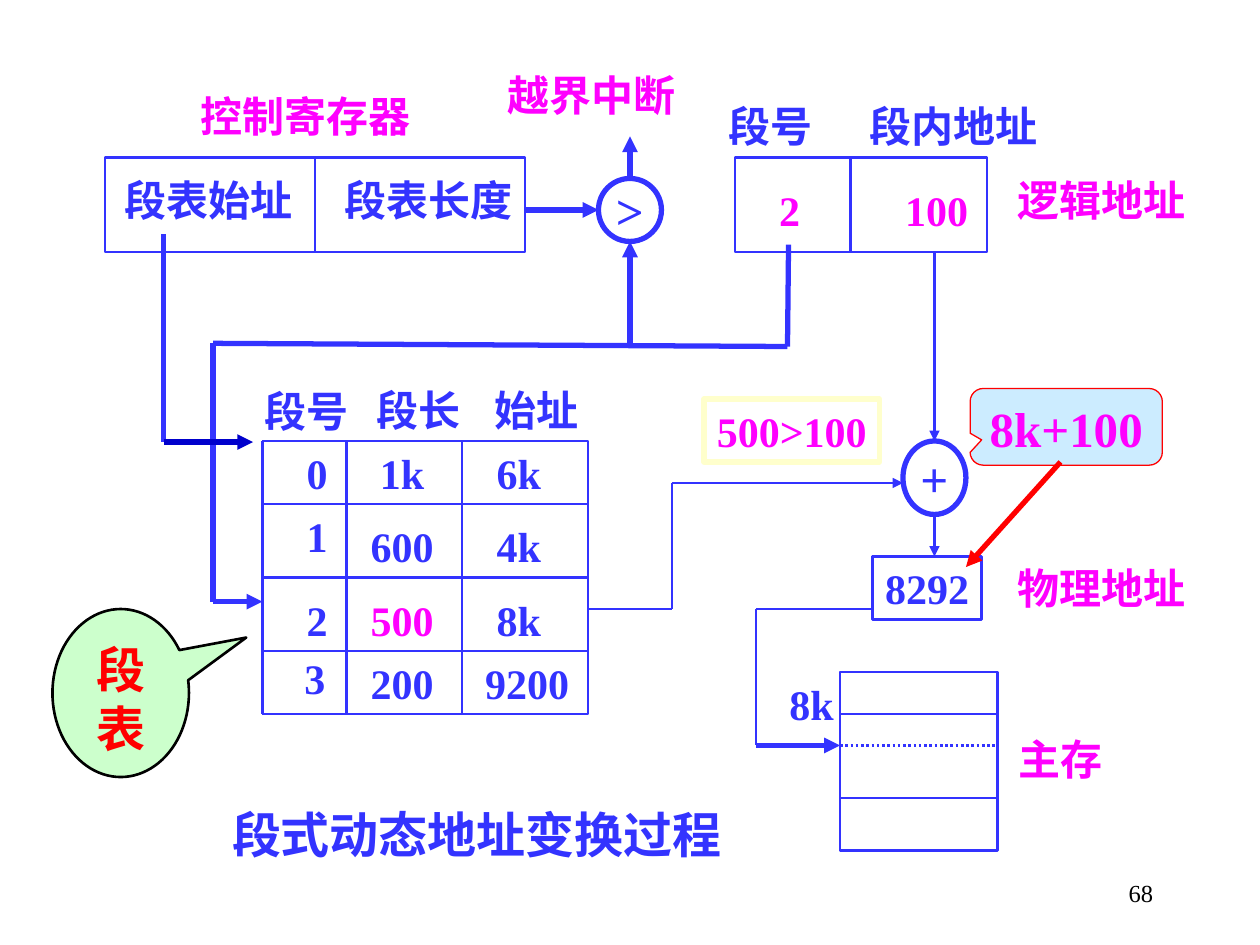
from itertools import pairwise

from lxml import etree
from pptx import Presentation
from pptx import util as u
from pptx.dml.color import RGBColor
from pptx.enum import dml, shapes, text
from pptx.oxml import ns

BLUE = RGBColor(0x33, 0x33, 0xFF)
NAVY = RGBColor(0x00, 0x00, 0xCC)
MAGENTA = RGBColor(0xFF, 0x00, 0xFF)
RED = RGBColor(0xFF, 0x00, 0x00)
BLACK = RGBColor(0x00, 0x00, 0x00)
WHITE = RGBColor(0xFF, 0xFF, 0xFF)
CREAM = RGBColor(0xFF, 0xFF, 0xCC)
SKY = RGBColor(0xCC, 0xEC, 0xFF)
MINT = RGBColor(0xCC, 0xFF, 0xCC)

FONT = "Times New Roman"
THIN, THICK = 1.5, 3
KIND = shapes.MSO_SHAPE
TOP, MIDDLE = text.MSO_ANCHOR.TOP, text.MSO_ANCHOR.MIDDLE


def grid(n):
    return u.Inches(n / 12)


def write(sp, words, color, size=24, bold=True, wrap=True,
          anchor=TOP, align=text.PP_ALIGN.CENTER):
    tf = sp.text_frame
    tf.word_wrap = wrap
    tf.vertical_anchor = anchor
    p = tf.paragraphs[0]
    p.alignment = align
    r = p.add_run()
    r.text = words
    r.font.name = FONT
    r.font.size = u.Pt(size)
    r.font.bold = bold
    r.font.color.rgb = color


def label(s, words, center, top, color=BLUE, size=24):
    width = 2.8 + 2 * len(words) if words.isascii() else 4 + 4 * len(words)
    width *= size / 24
    sp = s.shapes.add_textbox(grid(center - width / 2), grid(top),
                              grid(width), grid(size / 4))
    write(sp, words, color, size, wrap=False)


def box(s, kind, x, y, w, h, fill=WHITE, line=BLUE, weight=THIN):
    sp = s.shapes.add_shape(kind, grid(x), grid(y), grid(w), grid(h))
    sp.shadow.inherit = False
    if fill is None:
        sp.fill.background()
    else:
        sp.fill.solid()
        sp.fill.fore_color.rgb = fill
    sp.line.color.rgb = line
    sp.line.width = u.Pt(weight)
    return sp


def callout(s, kind, x, y, w, h, adjustments, fill, line, weight):
    sp = box(s, kind, x, y, w, h, fill, line, weight)
    for i, value in enumerate(adjustments):
        sp.adjustments[i] = value
    return sp


def route(s, *points, color=BLUE, weight=THIN, arrow=False, dotted=False):
    for start, end in pairwise(points):
        c = s.shapes.add_connector(shapes.MSO_CONNECTOR.STRAIGHT,
                                   *map(grid, start + end))
        c.line.color.rgb = color
        c.line.width = u.Pt(weight)
        if dotted:
            c.line.dash_style = dml.MSO_LINE.ROUND_DOT
        if arrow and end == points[-1]:
            etree.SubElement(c.line._get_or_add_ln(), ns.qn("a:tailEnd"),
                             type="triangle")
        etree.SubElement(c._element.spPr, ns.qn("a:effectLst"))


def registers(s):
    label(s, "控制寄存器", 29.1, 8, MAGENTA)
    box(s, KIND.RECTANGLE, 10, 15, 40, 9)
    label(s, "段表始址", 19.9, 16)
    label(s, "段表长度", 40.8, 16)
    route(s, (30, 15), (30, 24))
    box(s, KIND.RECTANGLE, 70, 15, 24, 9)
    route(s, (81, 15), (81, 24))
    label(s, "2", 75.2, 17, MAGENTA)
    label(s, "100", 89.2, 17, MAGENTA)
    label(s, "段号", 73.4, 9)
    label(s, "段内地址", 90.8, 9)
    label(s, "逻辑地址", 104.9, 16, MAGENTA)


def operators(s):
    label(s, "越界中断", 56.3, 6, MAGENTA)
    for sign, x, y, h in ((">", 57, 17, 6), ("+", 86, 42, 7)):
        sp = box(s, KIND.OVAL, x, y, 6, h, weight=THICK)
        write(sp, sign, BLUE, 28, wrap=False, anchor=MIDDLE)


def segment_table(s):
    left, mid, right, top, bottom = 25, 33, 56, 42, 68
    box(s, KIND.RECTANGLE, mid, top, right - mid, bottom - top)
    route(s, (mid, top), (left, top), (left, bottom), (mid, bottom))
    route(s, (44, top), (44, bottom))
    for y in (48, 55, 62):
        route(s, (left, y), (right, y))
    for heading, center, y in (("段号", 29.2, 36.1), ("段长", 39.9, 36),
                               ("始址", 51.1, 36)):
        label(s, heading, center, y)
    tops = (42, 49, 56, 62)
    columns = (
        (("0", "1", "2", "3"), (30.2, 30.2, 30.2, 30), (42, 48, 56, 61.6)),
        (("1k", "600", "500", "200"), (38.3,) * 4, tops),
        (("6k", "4k", "8k", "9200"), (49.4, 49.4, 49.4, 50.2), tops),
    )
    for column in columns:
        for value, center, y in zip(*column):
            label(s, value, center, y, MAGENTA if value == "500" else BLUE)


def main_memory(s):
    box(s, KIND.RECTANGLE, 80, 64, 15, 17)
    for y, dotted in ((68, False), (76, False), (71, True)):
        route(s, (80, y), (95, y), dotted=dotted)
    label(s, "8k", 77.3, 64)
    label(s, "主存", 101, 69.3, MAGENTA)


def physical_address(s):
    sp = box(s, KIND.RECTANGLE, 83.1, 53, 10.4, 6, fill=None)
    write(sp, "8292", BLUE, wrap=False)
    label(s, "物理地址", 104.9, 53, MAGENTA)


def flows(s):
    route(s, (50, 20), (57, 20), weight=THICK, arrow=True)
    route(s, (75.1, 23.3), (75, 33), (20.3, 32.7), (20.3, 57.3), (25, 57.3),
          weight=THICK, arrow=True)
    route(s, (60, 33), (60, 23), weight=THICK, arrow=True)
    route(s, (60, 17), (60, 13), weight=THICK, arrow=True)
    route(s, (15.6, 22.3), (15.6, 42.1), weight=THICK)
    route(s, (15.6, 42.1), (24.1, 42.1), color=NAVY, weight=THICK, arrow=True)
    route(s, (89, 24), (89, 42), arrow=True)
    route(s, (56, 58), (64, 58), (64, 46), (86, 46), arrow=True)
    route(s, (89, 49), (89, 53), arrow=True)
    route(s, (83, 58), (72, 58), (72, 71))
    route(s, (72, 71), (80, 71), weight=THICK, arrow=True)


def notes(s):
    sp = box(s, KIND.RECTANGLE, 67.05, 38, 16.7, 6, None, CREAM, THICK)
    write(sp, "500>100", MAGENTA, wrap=False)
    sp = callout(s, KIND.ROUNDED_RECTANGULAR_CALLOUT, 92.4, 37, 18.3, 7.3,
                 (-0.44, 0.17, 0.17), SKY, RED, 0.75)
    write(sp, "8k+100", MAGENTA, 28)
    route(s, (101, 44), (92, 54), color=RED, weight=THICK, arrow=True)
    sp = callout(s, KIND.OVAL_CALLOUT, 5, 58, 13, 16,
                 (0.92, -0.33), MINT, BLACK, THIN)
    write(sp, "段表", RED, 28)


def page_number(s):
    sp = s.shapes.add_textbox(grid(86), grid(82), grid(25), grid(6))
    write(sp, "68", BLACK, 14, bold=False, anchor=MIDDLE,
          align=text.PP_ALIGN.RIGHT)


def main():
    prs = Presentation()
    prs.slide_width, prs.slide_height = grid(120), grid(90)
    s = prs.slides.add_slide(prs.slide_layouts[6])
    registers(s)
    operators(s)
    segment_table(s)
    main_memory(s)
    physical_address(s)
    flows(s)
    notes(s)
    label(s, "段式动态地址变换过程", 45.4, 76, size=28)
    page_number(s)
    prs.save("out.pptx")


if __name__ == "__main__":
    main()
